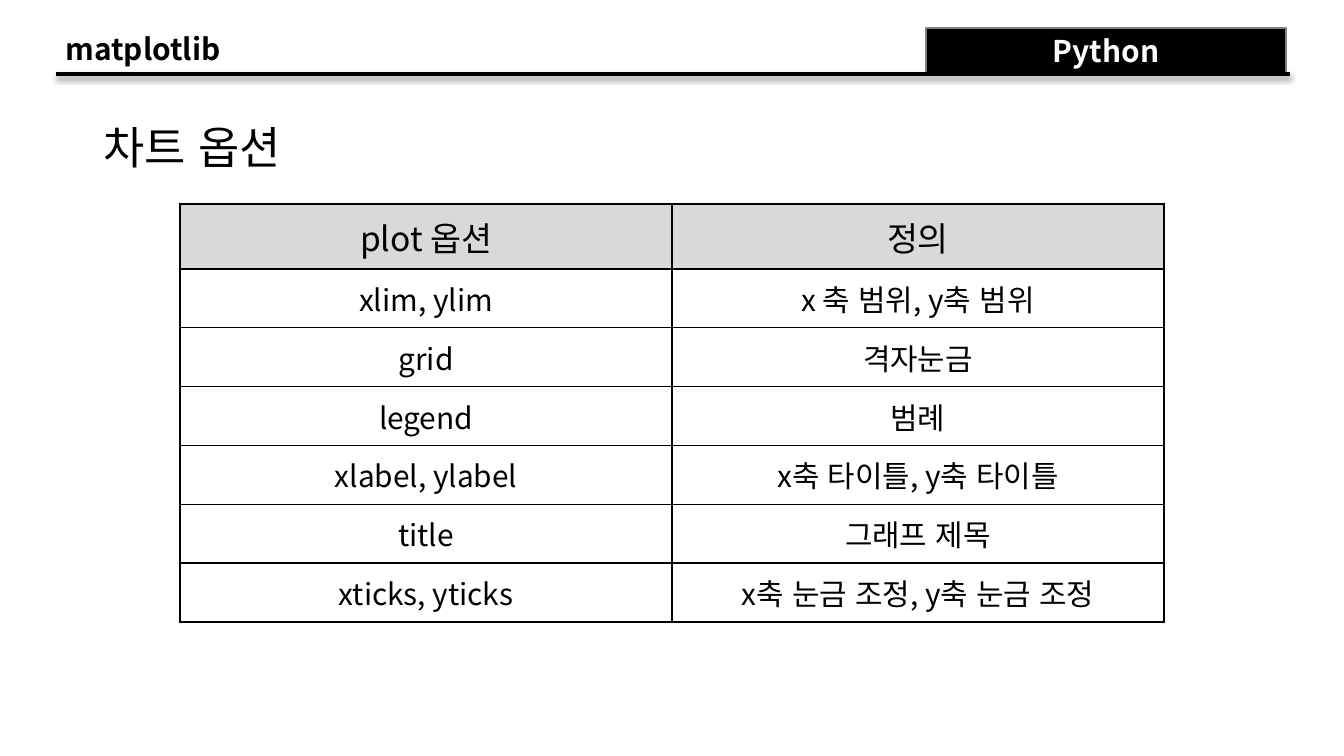
from lxml import etree
from pptx import Presentation
from pptx.dml.color import RGBColor
from pptx.enum.lang import MSO_LANGUAGE_ID
from pptx.enum.shapes import MSO_CONNECTOR, MSO_SHAPE
from pptx.enum.text import MSO_ANCHOR, PP_ALIGN
from pptx.oxml import parse_xml
from pptx.oxml.ns import nsdecls, qn
from pptx.util import Inches, Pt

LEFT, CENTER = PP_ALIGN.LEFT, PP_ALIGN.CENTER
MIDDLE, TOP = MSO_ANCHOR.MIDDLE, MSO_ANCHOR.TOP
KOREAN = MSO_LANGUAGE_ID.KOREAN
FONT = "Noto Sans CJK KR"
COLORS = {"black": "000000", "white": "FFFFFF", "gray": "808080", "header": "D9D9D9"}

TOPIC = "matplotlib"
COURSE = "Python"
TITLE = "차트 옵션"
ROWS = [
    ("plot 옵션", "정의"),
    ("xlim, ylim", "x 축 범위, y축 범위"),
    ("grid", "격자눈금"),
    ("legend", "범례"),
    ("xlabel, ylabel", "x축 타이틀, y축 타이틀"),
    ("title", "그래프 제목"),
    ("xticks, yticks", "x축 눈금 조정, y축 눈금 조정"),
]
TABLE_H, HEADER_H, COL_W = 3.11, 0.48, 3.66
ROW_H = (TABLE_H - HEADER_H) / (len(ROWS) - 1)


def rgb(name):
    return RGBColor.from_string(COLORS[name])


def box(x, y, w, h):
    return [Inches(v) for v in (x, y, w, h)]


def write(tf, text, size, color="black", bold=False, align=LEFT):
    tf.text = text
    p = tf.paragraphs[0]
    p.alignment = align
    r = p.runs[0]
    r.font.size = Pt(size)
    r.font.bold = bold
    r.font.name = FONT
    r.font.language_id = KOREAN
    r.font.color.rgb = rgb(color)
    ea = etree.SubElement(r.font._element, qn("a:ea"))
    ea.set("typeface", FONT)


def set_borders(cell):
    tcPr = cell._tc.get_or_add_tcPr()
    for i, side in enumerate(("lnL", "lnR", "lnT", "lnB")):
        tcPr.insert(i, parse_xml(
            f'<a:{side} {nsdecls("a")} w="{Pt(1)}"><a:solidFill>'
            f'<a:srgbClr val="{COLORS["black"]}"/></a:solidFill></a:{side}>'))


prs = Presentation()
prs.slide_width = Inches(10)
prs.slide_height = prs.slide_width * 9 // 16
s = prs.slides.add_slide(prs.slide_layouts[5])

title = s.shapes.title
title.left, title.top, title.width, title.height = box(0.67, 0.84, 7.95, 0.5)
title.text_frame.vertical_anchor = TOP
write(title.text_frame, TITLE, 24)

topic = s.shapes.add_textbox(*box(0.39, 0.18, 4.58, 0.37))
topic.text_frame.word_wrap = True
write(topic.text_frame, TOPIC, 16, bold=True)

tab = s.shapes.add_shape(MSO_SHAPE.RECTANGLE, *box(6.89, 0.21, 2.68, 0.34))
tab.shadow.inherit = False
tab.fill.solid()
tab.fill.fore_color.rgb = rgb("black")
tab.line.color.rgb = rgb("gray")
tab.line.width = Pt(1)
tab.text_frame.vertical_anchor = MIDDLE
write(tab.text_frame, COURSE, 16, "white", True, CENTER)

rule = s.shapes.add_connector(MSO_CONNECTOR.STRAIGHT, *box(0.42, 0.55, 9.6, 0.55))
rule.line.color.rgb = rgb("black")
rule.line.width = Pt(2)
rule._element.spPr.append(parse_xml(
    f'<a:effectLst {nsdecls("a")}><a:outerShdw blurRad="{Pt(3.1)}" dist="{Pt(1.6)}" '
    f'dir="5400000" rotWithShape="0"><a:srgbClr val="{COLORS["black"]}">'
    '<a:alpha val="38000"/></a:srgbClr></a:outerShdw></a:effectLst>'))

table = s.shapes.add_table(len(ROWS), 2, *box(1.34, 1.52, 2 * COL_W, TABLE_H)).table
table.first_row = table.horz_banding = False
for col in table.columns:
    col.width = Inches(COL_W)
for i, row in enumerate(ROWS):
    table.rows[i].height = Inches(ROW_H if i else HEADER_H)
    for j, text in enumerate(row):
        cell = table.cell(i, j)
        cell.vertical_anchor = MIDDLE
        write(cell.text_frame, text, 16 if i else 18, align=CENTER)
        if i:
            cell.fill.background()
        else:
            cell.fill.solid()
            cell.fill.fore_color.rgb = rgb("header")
        set_borders(cell)

prs.save("out.pptx")
